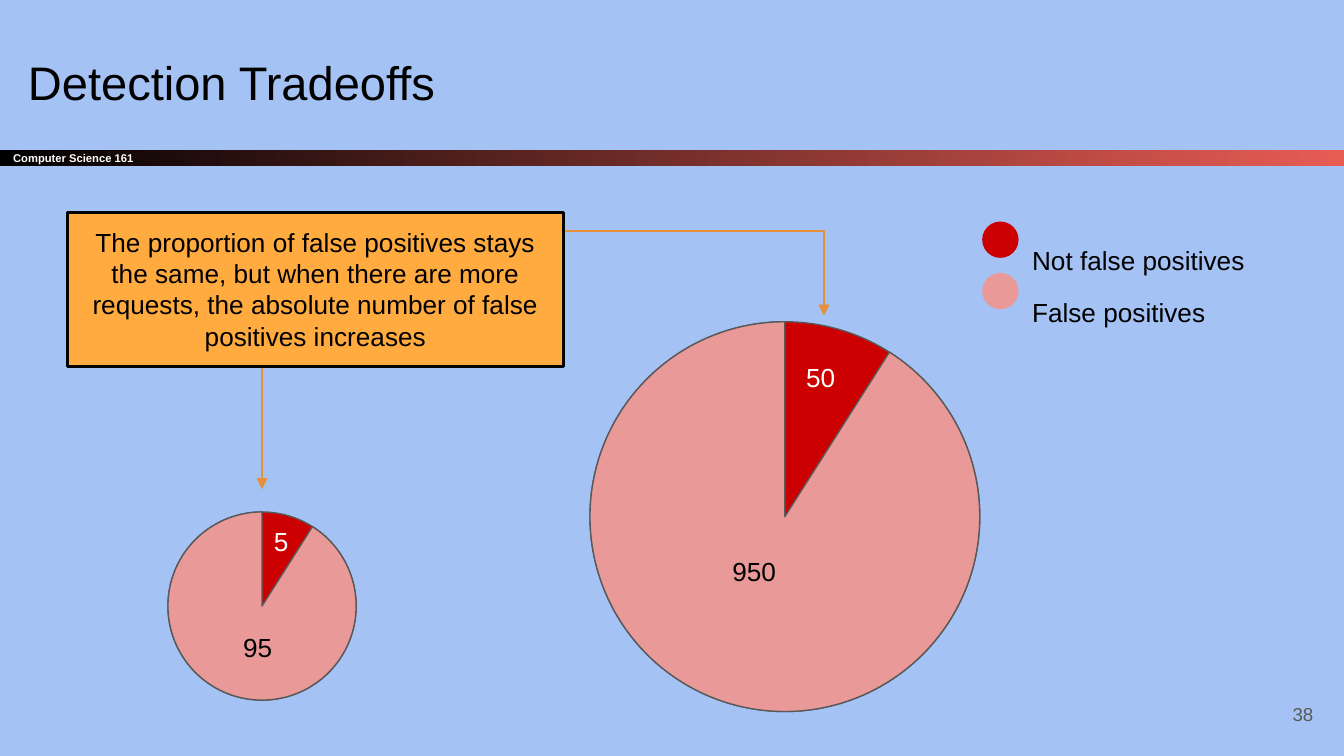
from lxml.etree import SubElement
from pptx import Presentation
from pptx.dml.color import RGBColor
from pptx.enum.shapes import MSO_CONNECTOR, MSO_SHAPE
from pptx.enum.text import MSO_ANCHOR, PP_ALIGN
from pptx.oxml.ns import qn
from pptx.util import Pt

BLACK = RGBColor(0x00, 0x00, 0x00)
WHITE = RGBColor(0xFF, 0xFF, 0xFF)
GRAY = RGBColor(0x59, 0x59, 0x59)
SKY = RGBColor(0xA4, 0xC2, 0xF4)
CORAL = RGBColor(0xE8, 0x5C, 0x54)
RED = RGBColor(0xCC, 0x00, 0x00)
PINK = RGBColor(0xEA, 0x99, 0x99)
AMBER = RGBColor(0xFF, 0xAB, 0x40)
ORANGE = RGBColor(0xE6, 0x91, 0x38)

TITLE = "Detection Tradeoffs"
COURSE = "Computer Science 161"
PAGE_NUMBER = "38"
CALLOUT = (
    "The proportion of false positives stays the same, but when there are more "
    "requests, the absolute number of false positives increases"
)
LEGEND = [("Not false positives", RED), ("False positives", PINK)]
PIES = [
    {
        "place": (90, 274.3, 100.8),
        "labels": [("5", WHITE, (139.7, 274.3, 34, 31.7)),
                   ("95", BLACK, (123.1, 331.2, 34, 31.7))],
    },
    {
        "place": (316.1, 172.4, 208.8),
        "labels": [("50", WHITE, (424.8, 186.5, 43.2, 31.7)),
                   ("950", BLACK, (385.2, 290.2, 70.6, 31.7))],
    },
]
PIE_START, PIE_END = 302.45, 270
DEGREE = 0.6
ELBOW = [(291.6, 123.8), (441.4, 123.8), (441.4, 169.2)]
DROP = [(140.4, 196.6), (140.4, 262.1)]

deck = Presentation()
deck.slide_width, deck.slide_height = Pt(720), Pt(405)
page = deck.slides.add_slide(deck.slide_layouts[6])
page.background.fill.solid()
page.background.fill.fore_color.rgb = SKY


def write(shape, lines, color=BLACK, size=14, bold=False,
          align=PP_ALIGN.LEFT, anchor=MSO_ANCHOR.TOP, spacing=None):
    frame = shape.text_frame
    margins = {f"margin_{side}": Pt(7.2) for side in ("left", "top", "right", "bottom")}
    for name, value in {**margins, "word_wrap": True, "vertical_anchor": anchor}.items():
        setattr(frame, name, value)
    frame.text = "\n".join(lines)
    for para in frame.paragraphs:
        para.alignment = align
        para.line_spacing = spacing
        for span in para.runs:
            span.font.color.rgb = color
            for name, value in {"name": "Arial", "size": Pt(size), "bold": bold}.items():
                setattr(span.font, name, value)


def add_text(place, lines, **style):
    write(page.shapes.add_textbox(*map(Pt, place)), lines, **style)


def add_shape(kind, place, fill, line=None, width=0.75):
    shape = page.shapes.add_shape(kind, *map(Pt, place))
    shape.shadow.inherit = False
    shape.fill.solid()
    shape.fill.fore_color.rgb = fill
    if line is None:
        shape.line.fill.background()
    else:
        shape.line.color.rgb = line
        shape.line.width = Pt(width)
    return shape


def style_arrow(arrow):
    arrow.line.color.rgb = ORANGE
    arrow.line.width = Pt(1.5)
    outline = arrow.line._get_or_add_ln()
    SubElement(outline, qn("a:tailEnd"), type="triangle")


bar = add_shape(MSO_SHAPE.RECTANGLE, (0, 80.2, 720, 8.6), BLACK)
bar.fill.gradient()
bar.fill.gradient_angle = 0
for stop, color, position in zip(bar.fill.gradient_stops, (BLACK, CORAL), (0, 1)):
    stop.color.rgb = color
    stop.position = position
write(bar, [COURSE], color=WHITE, size=6, bold=True, anchor=MSO_ANCHOR.MIDDLE)

add_text((7.9, 21.6, 671, 45.4), [TITLE], size=25.2)
add_text((667.4, 367.2, 43.2, 31), [PAGE_NUMBER], color=GRAY, size=10,
         align=PP_ALIGN.RIGHT, anchor=MSO_ANCHOR.MIDDLE)

for row, (name, color) in enumerate(LEGEND):
    add_shape(MSO_SHAPE.OVAL, (526.2, 118.7 + row * 27.5, 19.5, 19.5), color)
add_text((545.8, 113, 154, 59.8), [name for name, color in LEGEND], spacing=1.65)

builder = page.shapes.build_freeform(*map(Pt, ELBOW[0]), scale=1.0)
builder.add_line_segments([(Pt(x), Pt(y)) for x, y in ELBOW[1:]], close=False)
elbow = builder.convert_to_shape()
elbow.shadow.inherit = False
elbow.fill.background()
style_arrow(elbow)

drop = page.shapes.add_connector(MSO_CONNECTOR.STRAIGHT, *(Pt(v) for point in DROP for v in point))
SubElement(drop._element.spPr, qn("a:effectLst"))
style_arrow(drop)

callout = add_shape(MSO_SHAPE.RECTANGLE, (36, 113.9, 266, 82.4), AMBER, BLACK, 1.5)
write(callout, [CALLOUT], align=PP_ALIGN.CENTER)

for pie in PIES:
    left, top, side = pie["place"]
    add_shape(MSO_SHAPE.OVAL, (left, top, side, side), RED, GRAY)
    wedge = add_shape(MSO_SHAPE.PIE, (left, top, side, side), PINK, GRAY)
    wedge.adjustments[0] = PIE_START * DEGREE
    wedge.adjustments[1] = PIE_END * DEGREE
    for label, color, place in pie["labels"]:
        add_text(place, [label], color=color)

deck.save("out.pptx")
